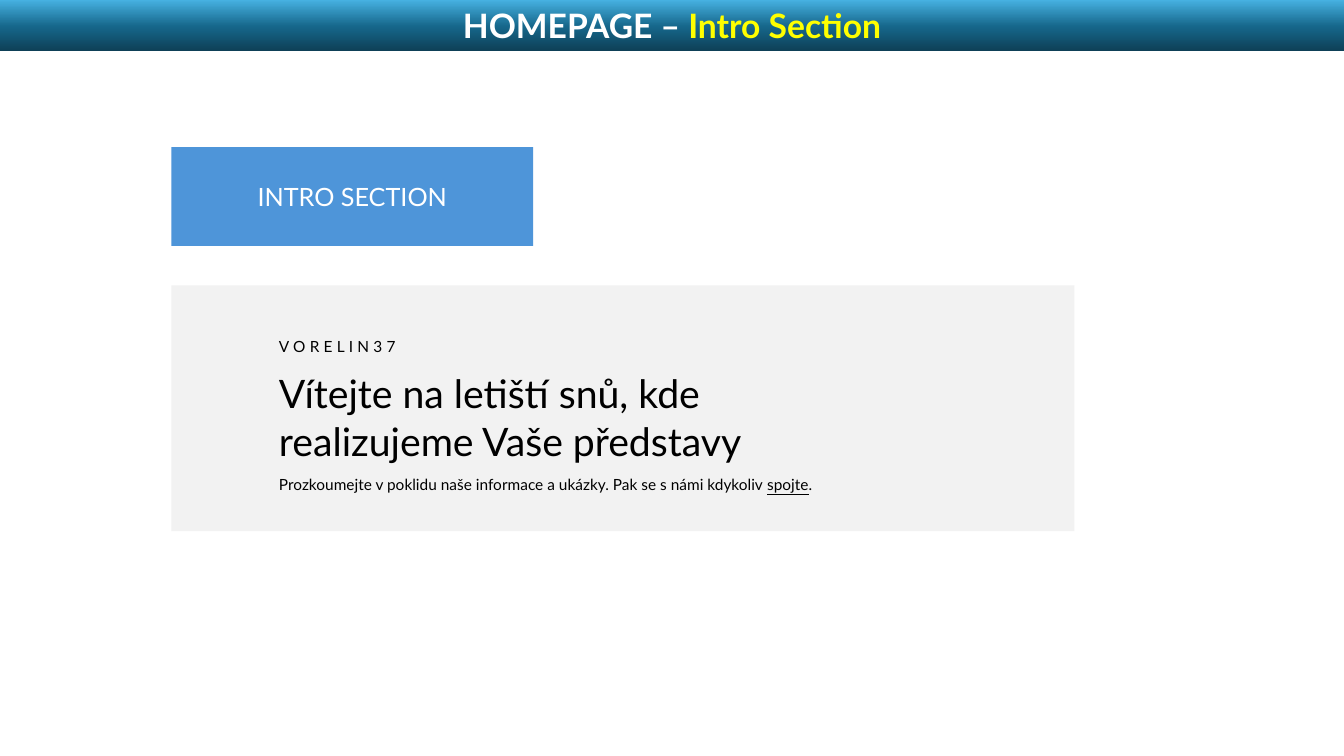
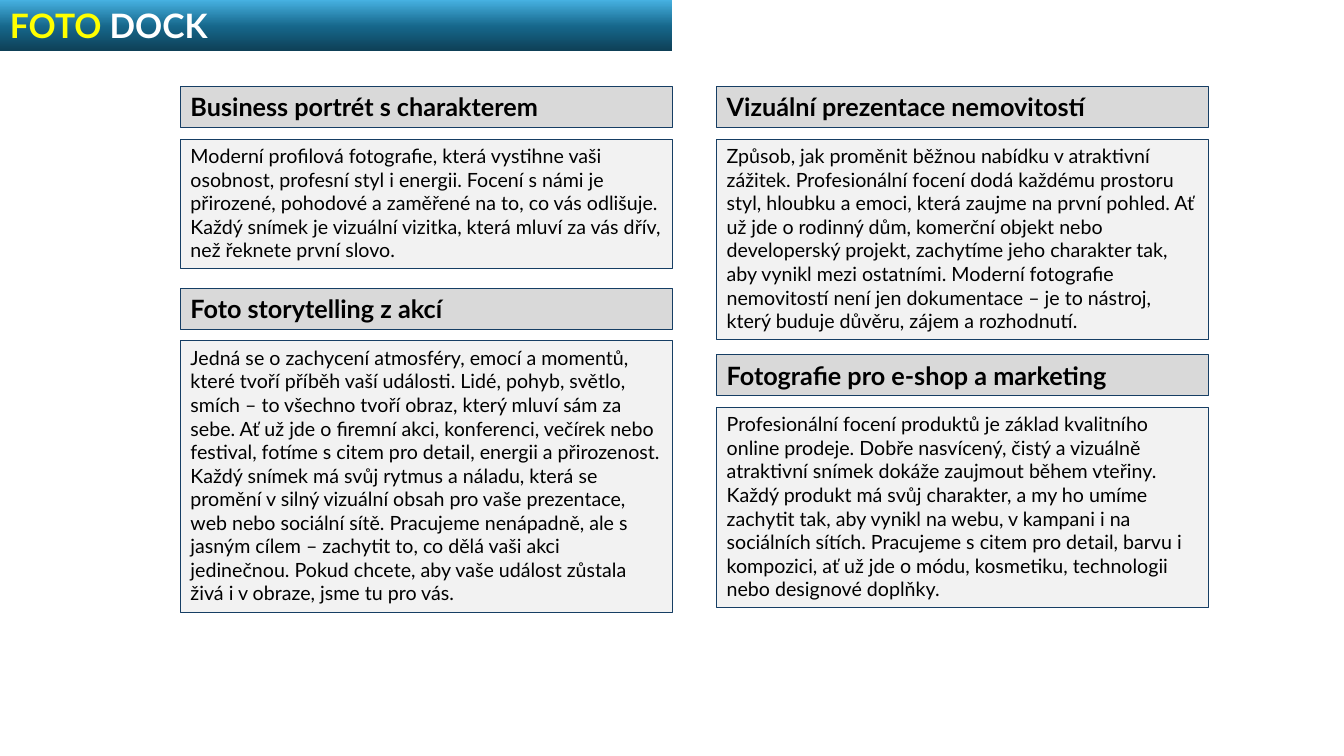
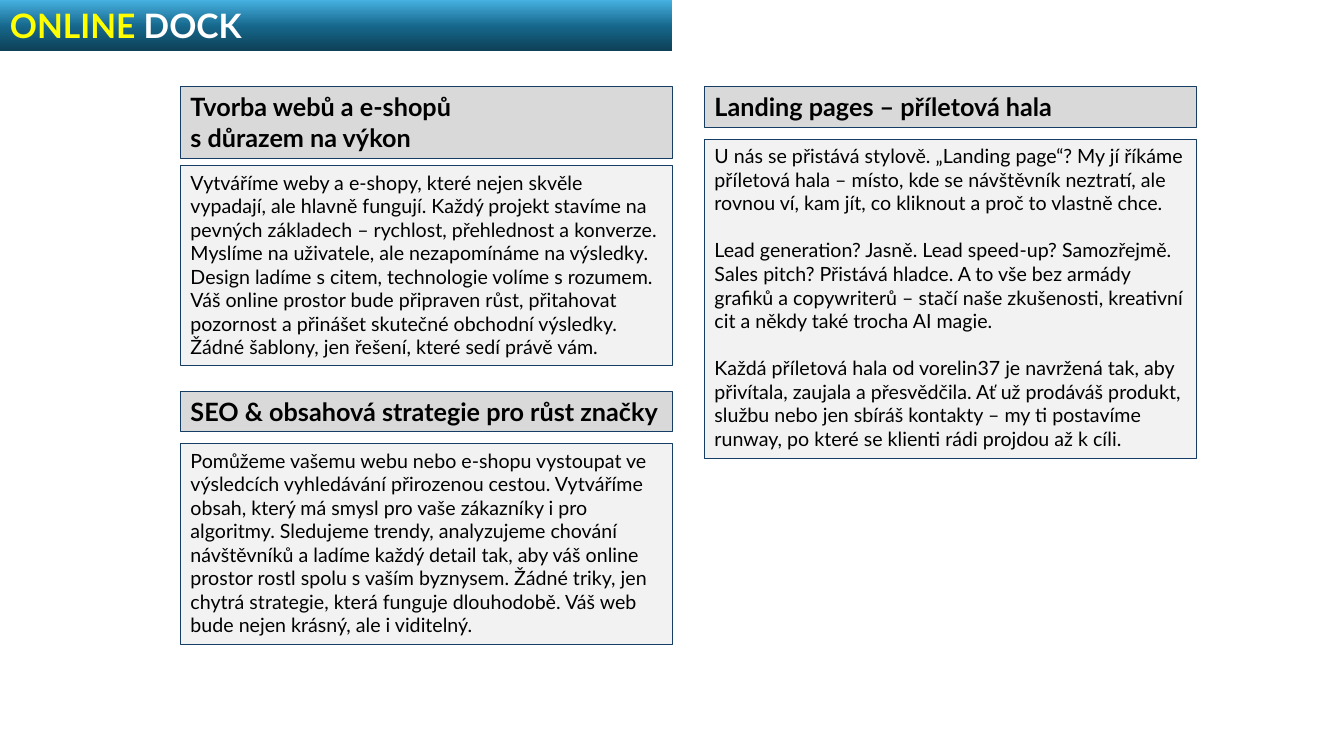
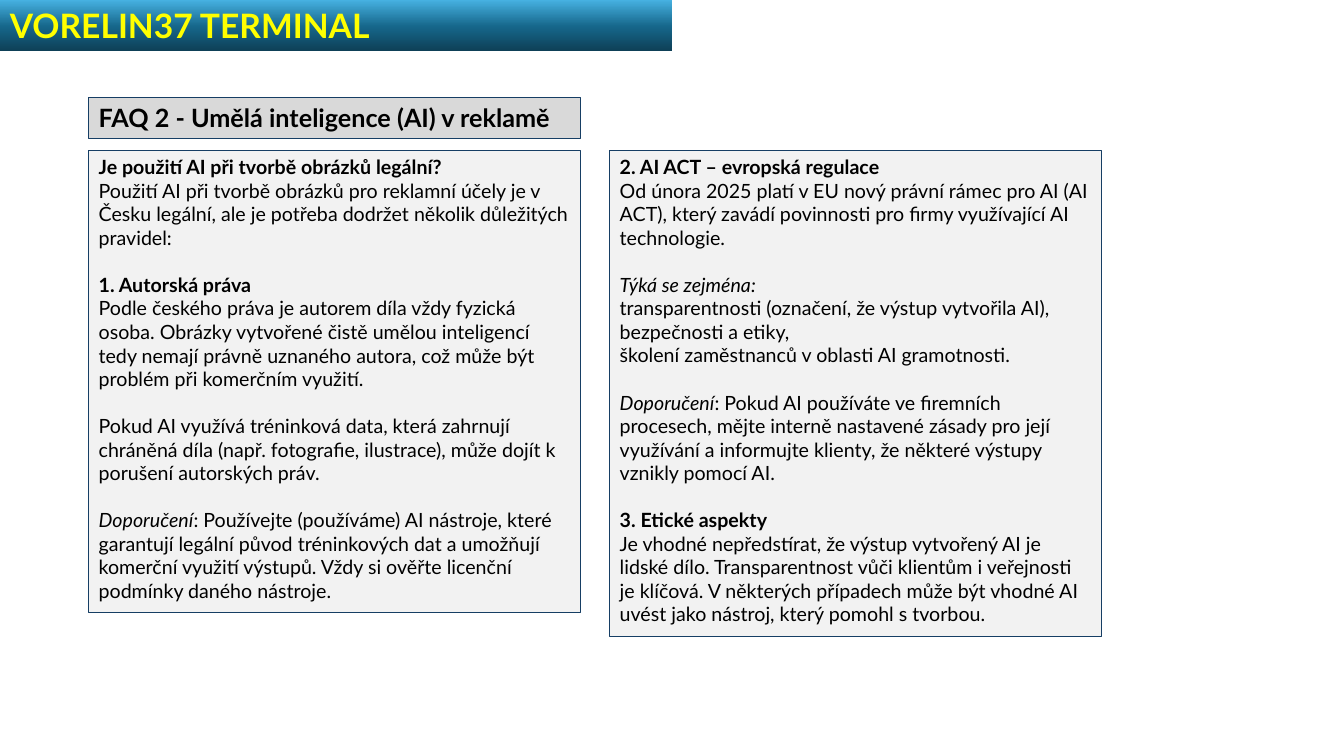
from copy import deepcopy
from dataclasses import dataclass
from typing import Optional

from pptx import Presentation
from pptx.dml.color import RGBColor
from pptx.enum.shapes import MSO_SHAPE as Shape
from pptx.enum.text import MSO_ANCHOR as Anchor, PP_ALIGN as Align
from pptx.oxml.ns import qn
from pptx.util import Pt

FONT = "Lato"
BLACK = RGBColor(0x00, 0x00, 0x00)
WHITE = RGBColor(0xFF, 0xFF, 0xFF)
YELLOW = RGBColor(0xFF, 0xFF, 0x00)
BLUE = RGBColor(0x4E, 0x95, 0xD9)
NAVY = RGBColor(0x16, 0x3E, 0x64)
PALE = RGBColor(0xF2, 0xF2, 0xF2)
GREY = RGBColor(0xD9, 0xD9, 0xD9)
STOPS = (
    (0, RGBColor(0x0E, 0x40, 0x57)),
    (0.48, RGBColor(0x16, 0x67, 0x8B)),
    (1, RGBColor(0x46, 0xB1, 0xE1)),
)

WIDE, HIGH = 960, 540
BAND = 36.3
CARD = 351.2
PAD = 7.2
HEAD_ROW, BODY_ROW = 21.9, 17
SKIP = 16.8
TOP = 62
LEFT = 129


@dataclass
class Run:
    text: str
    hue: Optional[RGBColor] = None
    bold: Optional[bool] = None
    ital: Optional[bool] = None
    under: Optional[bool] = None
    track: int = 0


@dataclass
class Para:
    runs: list[Run]
    gap: float = 0


@dataclass
class Card:
    """A heading bar over a text box; without a heading its place stays free."""
    x: float
    y: float
    head: str
    rows: int
    body: list[Para]
    gap: float = 8.4


def plain(text: str, gap: float = 0) -> Para:
    return Para([Run(text)], gap)


def strong(text: str, gap: float = 0) -> Para:
    return Para([Run(text, bold=True)], gap)


def noted(lead: str, text: str = "") -> Para:
    """A paragraph set apart that opens in italics."""
    return Para([Run(lead, ital=True)] + ([Run(text)] if text else []), SKIP)


def write(frame, paras: list[Para], size: float, hue=BLACK, bold=False,
          align=Align.LEFT, anchor=Anchor.TOP) -> None:
    frame.word_wrap = True
    frame.vertical_anchor = anchor
    for i, item in enumerate(paras):
        para = frame.add_paragraph() if i else frame.paragraphs[0]
        para.alignment = align
        para.space_before = Pt(item.gap)
        font = para.font
        font.name, font.size, font.bold = FONT, Pt(size), bold
        font.color.rgb = hue
        for part in item.runs:
            # a line feed becomes a line break within the paragraph
            for j, text in enumerate(part.text.split("\n")):
                if j:
                    para.add_line_break()
                run = para.add_run()
                run.text = text
                style = run.font
                style.bold, style.italic = part.bold, part.ital
                style.underline = part.under
                if part.hue is not None:
                    style.color.rgb = part.hue
                if part.track:
                    run._r.get_or_add_rPr().set("spc", str(part.track))


def box(slide, x: float, y: float, w: float, h: float, fill=None, line=None):
    rect = slide.shapes.add_shape(Shape.RECTANGLE, Pt(x), Pt(y), Pt(w), Pt(h))
    rect.shadow.inherit = False
    if fill is not None:
        rect.fill.solid()
        rect.fill.fore_color.rgb = fill
    if line is None:
        rect.line.fill.background()
    else:
        rect.line.color.rgb = line
        rect.line.width = Pt(0.75)
    return rect


def label(slide, x: float, y: float, w: float, h: float,
          runs: list[Run], size: float) -> None:
    area = slide.shapes.add_textbox(Pt(x), Pt(y), Pt(w), Pt(h))
    write(area.text_frame, [Para(runs)], size)


def band(slide, runs: list[Run], width: float = WIDE / 2,
         align=Align.LEFT) -> None:
    rect = box(slide, 0, 0, width, BAND)
    rect.fill.gradient()
    rect.fill.gradient_angle = 90
    stops = rect._element.spPr.find(".//" + qn("a:gsLst"))
    stops.append(deepcopy(stops[0]))
    for stop, (place, hue) in zip(rect.fill.gradient_stops, STOPS):
        stop.position = place
        stop.color.rgb = hue
    write(rect.text_frame, [Para(runs)], 24, WHITE, True, align)


def draw(slide, card: Card) -> None:
    high = PAD + HEAD_ROW * (card.head.count("\n") + 1)
    if card.head:
        bar = box(slide, card.x, card.y, CARD, high, GREY, NAVY)
        write(bar.text_frame, [plain(card.head)], 18, bold=True)
    body = box(slide, card.x, card.y + high + card.gap, CARD,
               PAD + BODY_ROW * card.rows, PALE, NAVY)
    write(body.text_frame, card.body, 14)


def intro(slide) -> None:
    band(slide, [Run("HOMEPAGE – "), Run("Intro Section", YELLOW)],
         WIDE, Align.CENTER)
    left, text, wide = 122.4, 192.2, 437.8
    tag = box(slide, left, 105.1, 258.5, 70.6, BLUE)
    write(tag.text_frame, [plain("INTRO SECTION")], 18, WHITE,
          align=Align.CENTER, anchor=Anchor.MIDDLE)
    box(slide, left, 203.8, 645.1, 175.7, PALE)
    label(slide, text, 236.9, 105.8, 20.9, [Run("VORELIN37", track=300)], 11)
    label(slide, text, 260.6, wide, 74.9,
          [Run("Vítejte na letiští snů, kde realizujeme Vaše představy")], 28)
    label(slide, text, 335.5, wide, 20.9, [
        Run("Prozkoumejte v poklidu naše informace a ukázky. "
            "Pak se s námi kdykoliv "),
        Run("spojte", under=True), Run(".")], 11)


PHOTO = [
    Card(LEFT, TOP, "Business portrét s charakterem", 5, [plain(
        "Moderní profilová fotografie, která vystihne vaši osobnost, profesní "
        "styl i energii. Focení s námi je přirozené, pohodové a zaměřené na "
        "to, co vás odlišuje. Každý snímek je vizuální vizitka, která mluví "
        "za vás dřív, než řeknete první slovo.")]),
    Card(LEFT, 206, "Foto storytelling z akcí", 11, [plain(
        "Jedná se o zachycení atmosféry, emocí a momentů, které tvoří příběh "
        "vaší události. Lidé, pohyb, světlo, smích – to všechno tvoří obraz, "
        "který mluví sám za sebe. Ať už jde o firemní akci, konferenci, "
        "večírek nebo festival, fotíme s citem pro detail, energii a "
        "přirozenost. Každý snímek má svůj rytmus a náladu, která se promění "
        "v silný vizuální obsah pro vaše prezentace, web nebo sociální sítě. "
        "Pracujeme nenápadně, ale s jasným cílem – zachytit to, co dělá vaši "
        "akci jedinečnou. Pokud chcete, aby vaše událost zůstala živá i v "
        "obraze, jsme tu pro vás.")]),
    Card(512, TOP, "Vizuální prezentace nemovitostí", 8, [plain(
        "Způsob, jak proměnit běžnou nabídku v atraktivní zážitek. "
        "Profesionální focení dodá každému prostoru styl, hloubku a emoci, "
        "která zaujme na první pohled. Ať už jde o rodinný dům, komerční "
        "objekt nebo developerský projekt, zachytíme jeho charakter tak, aby "
        "vynikl mezi ostatními. Moderní fotografie nemovitostí není jen "
        "dokumentace – je to nástroj, který buduje důvěru, zájem a "
        "rozhodnutí.")]),
    Card(512, 253.5, "Fotografie pro e‑shop a marketing", 8, [plain(
        "Profesionální focení produktů je základ kvalitního online prodeje. "
        "Dobře nasvícený, čistý a vizuálně atraktivní snímek dokáže zaujmout "
        "během vteřiny. Každý produkt má svůj charakter, a my ho umíme "
        "zachytit tak, aby vynikl na webu, v kampani i na sociálních sítích. "
        "Pracujeme s citem pro detail, barvu i kompozici, ať už jde o módu, "
        "kosmetiku, technologii nebo designové doplňky.")]),
]

ONLINE = [
    Card(LEFT, TOP, "Tvorba webů a e‑shopů\ns důrazem na výkon", 8, [plain(
        "Vytváříme weby a e‑shopy, které nejen skvěle vypadají, ale hlavně "
        "fungují. Každý projekt stavíme na pevných základech – rychlost, "
        "přehlednost a konverze. Myslíme na uživatele, ale nezapomínáme na "
        "výsledky. Design ladíme s citem, technologie volíme s rozumem. Váš "
        "online prostor bude připraven růst, přitahovat pozornost a přinášet "
        "skutečné obchodní výsledky. Žádné šablony, jen řešení, které sedí "
        "právě vám.")], 5.2),
    Card(LEFT, 279.4, "SEO & obsahová strategie pro růst značky", 8, [plain(
        "Pomůžeme vašemu webu nebo e‑shopu vystoupat ve výsledcích "
        "vyhledávání přirozenou cestou. Vytváříme obsah, který má smysl pro "
        "vaše zákazníky i pro algoritmy. Sledujeme trendy, analyzujeme "
        "chování návštěvníků a ladíme každý detail tak, aby váš online "
        "prostor rostl spolu s vaším byznysem. Žádné triky, jen chytrá "
        "strategie, která funguje dlouhodobě. Váš web bude nejen krásný, ale "
        "i viditelný.")]),
    Card(503.3, TOP, "Landing pages – příletová hala", 13, [
        plain("U nás se přistává stylově. „Landing page“? My jí říkáme "
              "příletová hala – místo, kde se návštěvník neztratí, ale rovnou "
              "ví, kam jít, co kliknout a proč to vlastně chce."),
        plain("Lead generation? Jasně. Lead speed-up? Samozřejmě. Sales "
              "pitch? Přistává hladce. A to vše bez armády grafiků a "
              "copywriterů – stačí naše zkušenosti, kreativní cit a někdy "
              "také trocha AI magie.", SKIP),
        plain("Každá příletová hala od vorelin37 je navržená tak, aby "
              "přivítala, zaujala a přesvědčila. Ať už prodáváš produkt, "
              "službu nebo jen sbíráš kontakty – my ti postavíme runway, po "
              "které se klienti rádi projdou až k cíli.", SKIP)]),
]

FAQ = [
    Card(63.4, 69.8, "FAQ 2 - Umělá inteligence (AI) v reklamě", 19, [
        strong("Je použití AI při tvorbě obrázků legální?"),
        plain("Použití AI při tvorbě obrázků pro reklamní účely je v Česku "
              "legální, ale je potřeba dodržet několik důležitých pravidel:"),
        strong("1. Autorská práva", SKIP),
        plain("Podle českého práva je autorem díla vždy fyzická osoba. "
              "Obrázky vytvořené čistě umělou inteligencí tedy nemají právně "
              "uznaného autora, což může být problém při komerčním využití."),
        plain("Pokud AI využívá tréninková data, která zahrnují chráněná "
              "díla (např. fotografie, ilustrace), může dojít k porušení "
              "autorských práv.", SKIP),
        noted("Doporučení",
              ": Používejte (používáme) AI nástroje, které garantují legální "
              "původ tréninkových dat a umožňují komerční využití výstupů. "
              "Vždy si ověřte licenční podmínky daného nástroje.")]),
    Card(435.6, 69.8, "", 20, [
        strong("2. AI ACT – evropská regulace"),
        plain("Od února 2025 platí v EU nový právní rámec pro AI (AI ACT), "
              "který zavádí povinnosti pro firmy využívající AI technologie."),
        noted("Týká se zejména:"),
        plain("transparentnosti (označení, že výstup vytvořila AI),"),
        plain("bezpečnosti a etiky,"),
        plain("školení zaměstnanců v oblasti AI gramotnosti."),
        noted("Doporučení",
              ": Pokud AI používáte ve firemních procesech, mějte interně "
              "nastavené zásady pro její využívání a informujte klienty, že "
              "některé výstupy vznikly pomocí AI."),
        strong("3. Etické aspekty", SKIP),
        plain("Je vhodné nepředstírat, že výstup vytvořený AI je lidské dílo. "
              "Transparentnost vůči klientům i veřejnosti je klíčová. V "
              "některých případech může být vhodné AI uvést jako nástroj, "
              "který pomohl s tvorbou.")]),
]

PAGES = [
    ([Run("FOTO", YELLOW), Run(" DOCK")], PHOTO),
    ([Run("ONLINE", YELLOW), Run(" DOCK")], ONLINE),
    ([Run("VORELIN37 TERMINAL", YELLOW)], FAQ),
]


def main() -> None:
    deck = Presentation()
    deck.slide_width, deck.slide_height = Pt(WIDE), Pt(HIGH)
    blank = deck.slide_layouts[6]
    intro(deck.slides.add_slide(blank))
    for title, cards in PAGES:
        slide = deck.slides.add_slide(blank)
        band(slide, title)
        for card in cards:
            draw(slide, card)
    deck.save("out.pptx")


if __name__ == "__main__":
    main()
